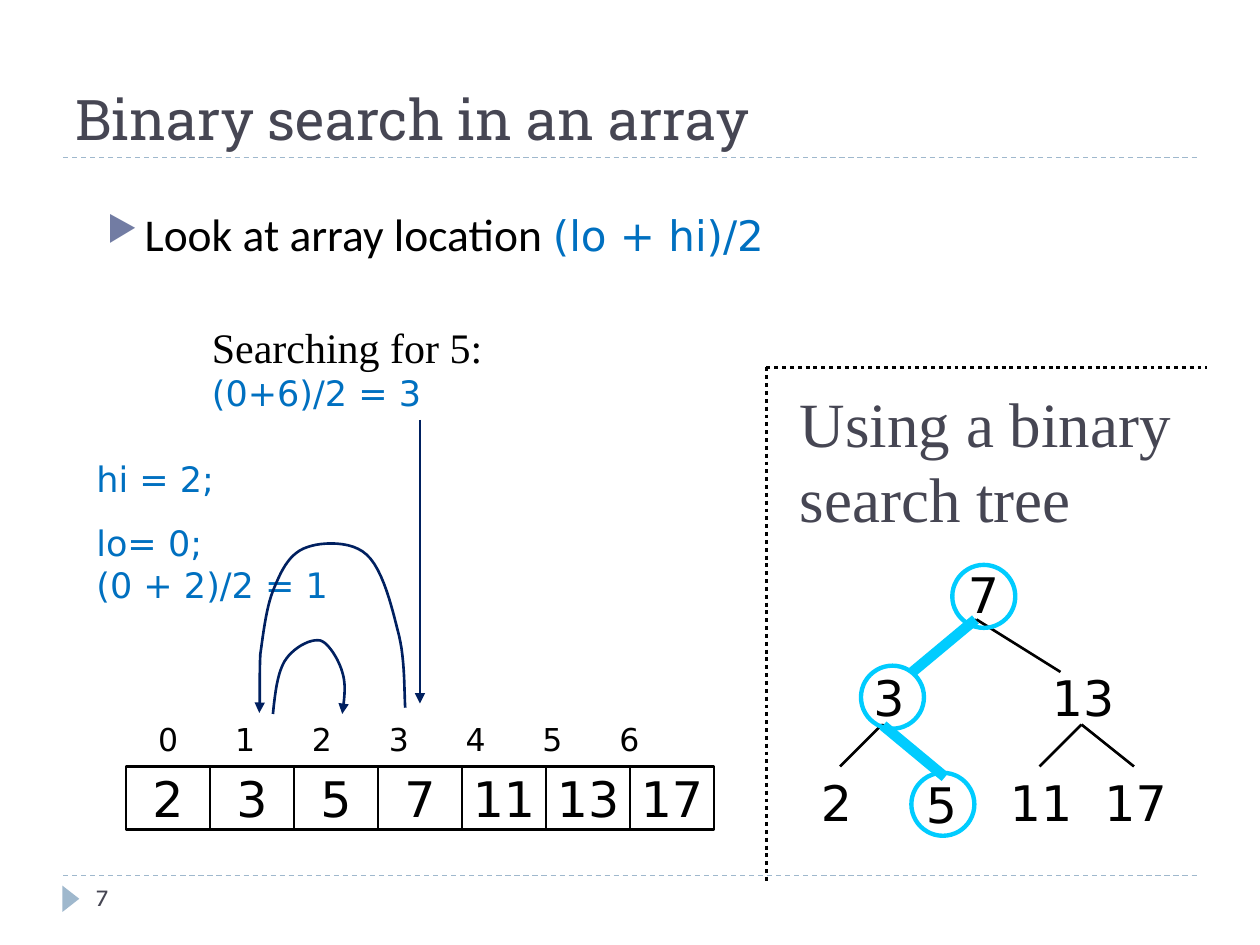
from lxml import etree
from pptx import Presentation
from pptx.dml.color import RGBColor
from pptx.enum.dml import MSO_LINE
from pptx.enum.shapes import MSO_CONNECTOR, MSO_SHAPE
from pptx.enum.text import MSO_ANCHOR, PP_ALIGN
from pptx.oxml.ns import qn
from pptx.util import Inches, Pt

STRAIGHT = MSO_CONNECTOR.STRAIGHT
CELL, CIRCLE, TRIANGLE = (MSO_SHAPE.FLOWCHART_PROCESS, MSO_SHAPE.OVAL,
                          MSO_SHAPE.ISOSCELES_TRIANGLE)
DASH, DOTS = MSO_LINE.DASH, MSO_LINE.ROUND_DOT
TOP, MIDDLE, BOTTOM = MSO_ANCHOR.TOP, MSO_ANCHOR.MIDDLE, MSO_ANCHOR.BOTTOM
CENTER = PP_ALIGN.CENTER

COLORS = {"ink": "000000", "heading": "464653", "rule": "9FB8CD",
          "bullet": "727CA3", "code": "0070C0", "arrow": "002060",
          "visited": "00CCFF"}
SANS, SERIF = "DejaVu Sans", "Times New Roman"

# Text styles: font, size, colour
TITLE = ("Roboto Slab", 32, "heading")
NUMBER = ("Karla", 14, "heading")
BODY = ("Calibri", 26, "ink")
BODY_CODE = (SANS, 24, "code")
CAPTION = (SERIF, 24, "ink")
CODE = (SANS, 20, "code")
INDEX = (SANS, 18, "ink")
KEY = (SANS, 28, "ink")
TREE_TITLE = (SERIF, 36, "heading")


def grid(*lengths):
    """Grid of 120 columns by 90 rows, twelve to the inch."""
    return [Inches(length / 12) for length in lengths]


def color(name):
    return RGBColor.from_string(COLORS[name])


def style_span(span, style):
    span.font.name, size, name = style
    span.font.size = Pt(size)
    span.font.color.rgb = color(name)


def add_text(page, place, text, *styles, anchor=TOP, gap=0):
    """Place text; each run takes the next style, the last one repeating."""
    box = page.shapes.add_textbox(*grid(*place))
    frame = box.text_frame
    frame.word_wrap = True
    frame.vertical_anchor = anchor
    frame.text = text
    spans = [span for para in frame.paragraphs for span in para.runs]
    for order, span in enumerate(spans):
        style_span(span, styles[min(order, len(styles) - 1)])
    for para in frame.paragraphs[1:]:
        para.space_before = Pt(gap)
    return box


def style_line(line, name, width, dash=None, arrow=False):
    line.color.rgb = color(name)
    line.width = Pt(width)
    if dash:
        line.dash_style = dash
    if arrow:
        etree.SubElement(line.color._xFill.getparent(), qn("a:tailEnd"), type="triangle")


def add_line(page, start, end, name="ink", width=1.5, **look):
    line = page.shapes.add_connector(STRAIGHT, *grid(*start, *end))
    style_line(line.line, name, width, **look)
    etree.SubElement(line._element.spPr, qn("a:effectLst"))


def add_outline(page, kind, place, name, width):
    shape = page.shapes.add_shape(kind, *grid(*place))
    shape.shadow.inherit = False
    shape.fill.background()
    style_line(shape.line, name, width)
    return shape


def add_curved_arrow(page, start, curves, steps=12):
    """Follow cubic curves, each given as two controls and an end."""
    points = [start]
    for curve in curves:
        corners = [points[-1], curve[0:2], curve[2:4], curve[4:6]]
        for step in range(1, steps + 1):
            t = step / steps
            weights = ((1 - t) ** 3, 3 * t * (1 - t) ** 2, 3 * t * t * (1 - t), t ** 3)
            points.append(tuple(sum(w * corner[axis] for w, corner in zip(weights, corners))
                                for axis in (0, 1)))
    builder = page.shapes.build_freeform(*grid(*start))
    builder.add_line_segments([grid(*point) for point in points[1:]], close=False)
    shape = builder.convert_to_shape()
    shape.shadow.inherit = False
    shape.fill.background()
    style_line(shape.line, "arrow", 1.5, arrow=True)


def add_bullet(para):
    props = para._p.get_or_add_pPr()
    props.set("marL", str(Inches(0.3)))
    props.set("indent", str(-Inches(0.3)))
    tint = etree.SubElement(props, qn("a:buClr"))
    etree.SubElement(tint, qn("a:srgbClr"), val=COLORS["bullet"])
    etree.SubElement(props, qn("a:buSzPct"), val="76000")
    etree.SubElement(props, qn("a:buChar"), char="▶")


def add_frame(page):
    """Rules, corner mark, title and slide number."""
    for row in (83.4, 15):
        add_line(page, (6, row), (114, row), "rule", 0.75, dash=DASH)
    mark = page.shapes.add_shape(TRIANGLE, *grid(5.5, 84.8, 2.5, 1.6))
    mark.shadow.inherit = False
    mark.rotation = 90
    mark.fill.solid()
    mark.fill.fore_color.rgb = color("rule")
    mark.line.fill.background()
    add_text(page, (6, 2, 108, 13), "Binary search in an array", TITLE, anchor=BOTTOM)
    add_text(page, (8, 83.4, 26, 4.8), "7", NUMBER)


def add_statement(page):
    box = add_text(page, (9, 19, 102, 8), "Look at array location ", BODY)
    para = box.text_frame.paragraphs[0]
    add_bullet(para)
    span = para.add_run()
    span.text = "(lo + hi)/2"
    style_span(span, BODY_CODE)


def add_array(page, keys):
    for column, key in enumerate(keys):
        cell = add_outline(page, CELL, (12 + 8 * column, 73, 8, 6), "ink", 1.5)
        frame = cell.text_frame
        frame.text = str(key)
        frame.word_wrap = False
        frame.vertical_anchor = MIDDLE
        frame.paragraphs[0].alignment = CENTER
        style_span(frame.paragraphs[0].runs[0], KEY)
    # Indexes on evenly spaced, centred tab stops
    labels = "".join(f"\t{index}" for index in range(len(keys)))
    box = add_text(page, (11, 68, 57, 5.3), labels, INDEX)
    props = box.text_frame.paragraphs[0]._p.get_or_add_pPr()
    stops = etree.SubElement(props, qn("a:tabLst"))
    for index in range(len(keys)):
        etree.SubElement(stops, qn("a:tab"), pos=str(Inches(0.32 + 0.61 * index)), algn="ctr")


def add_search_steps(page):
    add_text(page, (19, 30, 30, 10), "Searching for 5:\v(0+6)/2 = 3", CAPTION, CODE)
    add_line(page, (40, 40), (40, 67), "arrow", arrow=True)
    add_text(page, (8, 43, 28, 15.4), "hi = 2;\nlo= 0;\v(0 + 2)/2 = 1", CODE, gap=12.5)
    # From index 3 to 1, then from 1 to 2
    add_curved_arrow(page, (38.6, 67.4), [
        (38.5, 66.2, 38.6, 62.9, 38, 60.5), (37.4, 58.1, 36.5, 54.2, 34.9, 52.8),
        (33.5, 51.5, 30.7, 51.6, 29.3, 52.1), (27.7, 52.6, 26.9, 54.1, 26.2, 55.8),
        (25.4, 57.5, 25.1, 60.2, 24.8, 62.3), (24.7, 64.3, 24.8, 66.7, 24.7, 67.9)])
    add_curved_arrow(page, (26, 68), [
        (26.2, 66.1, 26.4, 64.2, 27.1, 63), (27.8, 61.8, 29.5, 60.8, 30.5, 61),
        (31.3, 61.2, 32.3, 62.9, 32.6, 64), (33, 65.2, 32.8, 66.6, 32.6, 68)])


def add_tree(page):
    nodes = [(7, 91, 53.2, 7), (3, 82, 63, 7), (13, 99, 63, 9), (2, 77, 73, 7),
             (5, 87, 73.2, 7), (11, 95, 73, 9), (17, 104, 73, 10)]
    for key, left, top, width in nodes:
        add_text(page, (left, top, width, 6.8), str(key), KEY)
    branches = {(84, 69): [(80, 73), (89, 73)], (103, 69): [(99, 73), (108, 73)],
                (93, 59): [(87, 64), (101, 64)]}
    for parent, children in branches.items():
        for child in children:
            add_line(page, parent, child)
    # Heading and dotted border
    add_text(page, (75, 36, 40, 15.6), "Using a binary search tree", TREE_TITLE)
    for end in ((73, 84), (115, 35)):
        add_line(page, (73, 35), end, width=2.25, dash=DOTS)
    # Visited nodes and branches
    for left, top in ((90.7, 53.8), (82, 63.4), (86.8, 73.6)):
        add_outline(page, CIRCLE, (left, top, 6, 6), "visited", 2.5)
    for start, end in (((92.9, 59), (86.9, 64)), ((84.1, 69.1), (90, 74))):
        add_line(page, start, end, "visited", 6)


def main():
    deck = Presentation()
    deck.slide_width, deck.slide_height = grid(120, 90)
    page = deck.slides.add_slide(deck.slide_layouts[6])
    add_frame(page)
    add_statement(page)
    add_array(page, [2, 3, 5, 7, 11, 13, 17])
    add_search_steps(page)
    add_tree(page)
    deck.save("out.pptx")


if __name__ == "__main__":
    main()
